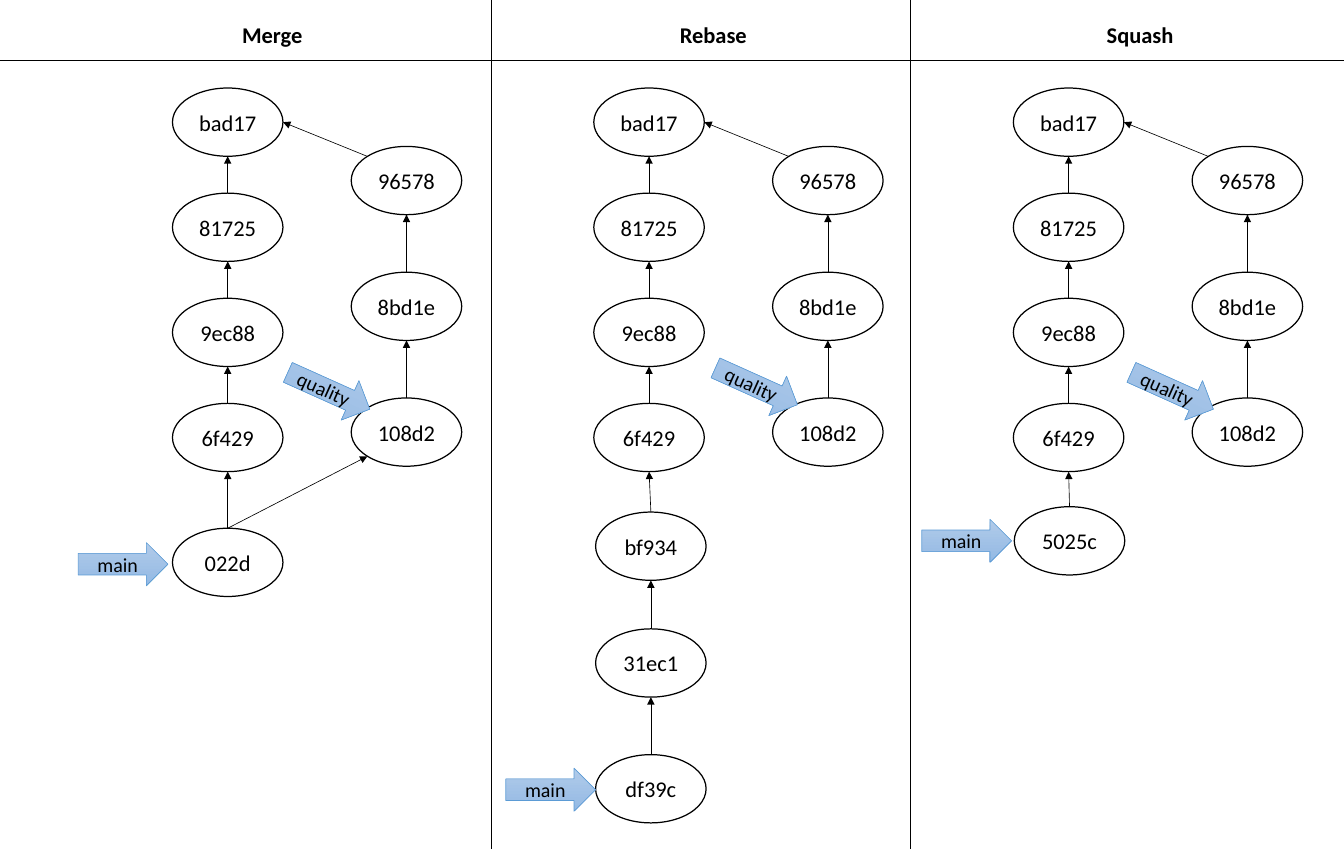
from lxml.etree import SubElement
from pptx import Presentation
from pptx.dml.color import RGBColor
from pptx.enum.shapes import MSO_CONNECTOR, MSO_SHAPE
from pptx.enum.text import MSO_ANCHOR, PP_ALIGN
from pptx.oxml.ns import qn
from pptx.util import Inches, Pt

BLACK = RGBColor(0x00, 0x00, 0x00)
WHITE = RGBColor(0xFF, 0xFF, 0xFF)
ARROW_TOP = RGBColor(0xB1, 0xCB, 0xE9)
ARROW_BOTTOM = RGBColor(0x93, 0xB9, 0xE4)
ARROW_LINE = RGBColor(0x5B, 0x9B, 0xD5)

SLIDE_W, SLIDE_H = 14.96, 9.45
OVAL_W, OVAL_H = 1.23, 0.76
DIAGONAL = 0.5 ** 0.5
HEADER_Y = 0.67

# Commits shared by all three strategies
MAIN_COMMITS = ["bad17", "81725", "9ec88", "6f429"]
MAIN_TOP, MAIN_STEP = 0.98, 1.17
QUALITY_COMMITS = ["96578", "8bd1e", "108d2"]
QUALITY_TOP, QUALITY_STEP, QUALITY_DX = 1.63, 1.4, 1.99

# Title and its left, left of main, new commits (text, left, top),
# main label (left, top), quality label (left, top)
STRATEGIES = [
    ("Merge", 2.53, 1.92, [("022d", 1.92, 5.88)], (0.87, 6.04), (3.16, 4.11)),
    ("Rebase", 7.44, 6.61,
     [("bf934", 6.63, 5.7), ("31ec1", 6.63, 7), ("df39c", 6.63, 8.4)],
     (5.63, 8.55), (7.92, 4.06)),
    ("Squash", 12.19, 11.28, [("5025c", 11.29, 5.64)],
     (10.26, 5.78), (12.55, 4.11)),
]


def write_text(s, text, size=18, bold=False, color=BLACK, font="Calibri"):
    tf = s.text_frame
    tf.word_wrap = True
    tf.vertical_anchor = MSO_ANCHOR.MIDDLE
    tf.margin_left = tf.margin_right = tf.margin_top = tf.margin_bottom = 0
    p = tf.paragraphs[0]
    p.alignment = PP_ALIGN.CENTER
    r = p.add_run()
    r.text = text
    r.font.name = font
    r.font.size = Pt(size)
    r.font.bold = bold
    r.font.color.rgb = color


def oval_point(oval, dx, dy):
    """Point on the outline of an oval, in the direction dx, dy from its centre."""
    left, top = oval
    return left + OVAL_W / 2 * (1 + dx), top + OVAL_H / 2 * (1 + dy)


class CommitGraph:
    def __init__(self, slide):
        self.shapes = slide.shapes

    def title(self, text, left):
        s = self.shapes.add_textbox(Inches(left), Inches(0.18), Inches(1), Inches(0.4))
        write_text(s, text, bold=True)

    def commit(self, text, left, top):
        s = self.shapes.add_shape(MSO_SHAPE.OVAL, Inches(left), Inches(top),
                                  Inches(OVAL_W), Inches(OVAL_H))
        s.shadow.inherit = False
        s.fill.solid()
        s.fill.fore_color.rgb = WHITE
        s.line.color.rgb = BLACK
        s.line.width = Pt(1)
        write_text(s, text)
        return left, top

    def label(self, text, left, top, rotation=0):
        s = self.shapes.add_shape(MSO_SHAPE.RIGHT_ARROW, Inches(left), Inches(top),
                                  Inches(1), Inches(0.48))
        s.rotation = rotation
        s.shadow.inherit = False
        s.fill.gradient()
        s.fill.gradient_angle = 270
        for i, color in enumerate((ARROW_TOP, ARROW_BOTTOM)):
            stop = s.fill.gradient_stops[i]
            stop.position = i
            stop.color.rgb = color
        s.line.color.rgb = ARROW_LINE
        s.line.width = Pt(0.5)
        write_text(s, text, size=16)

    def line(self, start, end, arrow=False):
        s = self.shapes.add_connector(MSO_CONNECTOR.STRAIGHT,
                                      *(Inches(v) for v in (*start, *end)))
        s.line.color.rgb = BLACK
        s.line.width = Pt(0.5)
        if arrow:
            SubElement(s.line._get_or_add_ln(), qn("a:tailEnd"), type="triangle")
        SubElement(s._element.spPr, qn("a:effectLst"))

    def parent_arrow(self, child, parent):
        self.line(oval_point(child, 0, -1), oval_point(parent, 0, 1), arrow=True)

    def chain(self, commits):
        ovals = [self.commit(*commit) for commit in commits]
        for parent, child in zip(ovals, ovals[1:]):
            self.parent_arrow(child, parent)
        return ovals


def main():
    prs = Presentation()
    prs.slide_width, prs.slide_height = Inches(SLIDE_W), Inches(SLIDE_H)
    graph = CommitGraph(prs.slides.add_slide(prs.slide_layouts[6]))

    # Header rule and column dividers
    graph.line((0, HEADER_Y), (SLIDE_W, HEADER_Y))
    for x in (5.47, 10.13):
        graph.line((x, 0), (x, SLIDE_H))

    for title, title_left, left, new_commits, main_at, quality_at in STRATEGIES:
        graph.title(title, title_left)

        # Main branch with the commits the strategy adds
        shared = [(text, left, MAIN_TOP + i * MAIN_STEP)
                  for i, text in enumerate(MAIN_COMMITS)]
        main_branch = graph.chain(shared + new_commits)

        # Quality branch, forked from the first commit
        quality_branch = graph.chain(
            [(text, left + QUALITY_DX, QUALITY_TOP + i * QUALITY_STEP)
             for i, text in enumerate(QUALITY_COMMITS)])
        graph.line(oval_point(quality_branch[0], -DIAGONAL, -DIAGONAL),
                   oval_point(main_branch[0], 1, 0), arrow=True)

        # Only a merge commit has a second parent
        if title == "Merge":
            graph.line(oval_point(main_branch[-1], 0, -1),
                       oval_point(quality_branch[-1], -DIAGONAL, DIAGONAL), arrow=True)

        # Branch labels
        graph.label("main", *main_at)
        graph.label("quality", *quality_at, rotation=24.2)

    prs.save("out.pptx")


if __name__ == "__main__":
    main()
